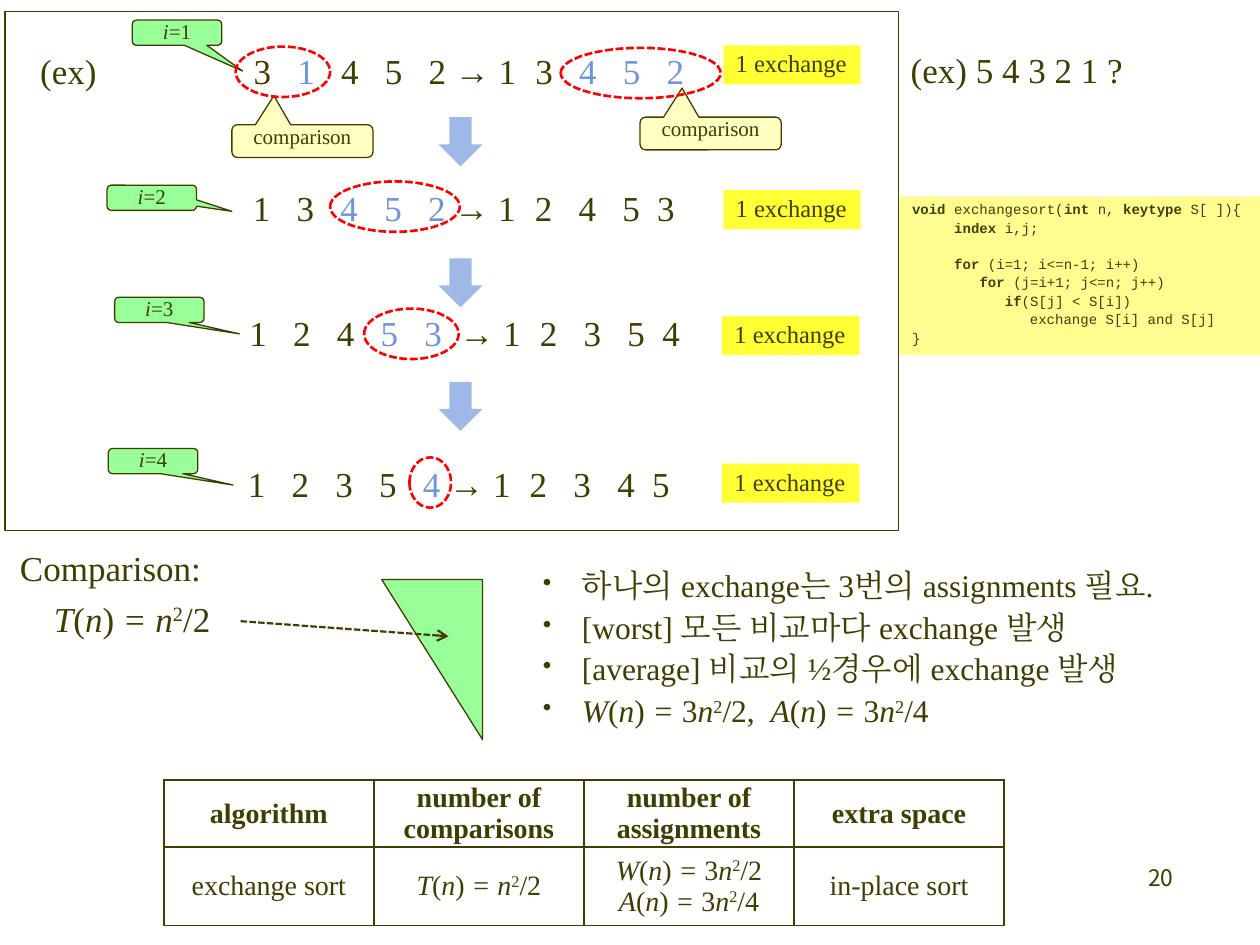
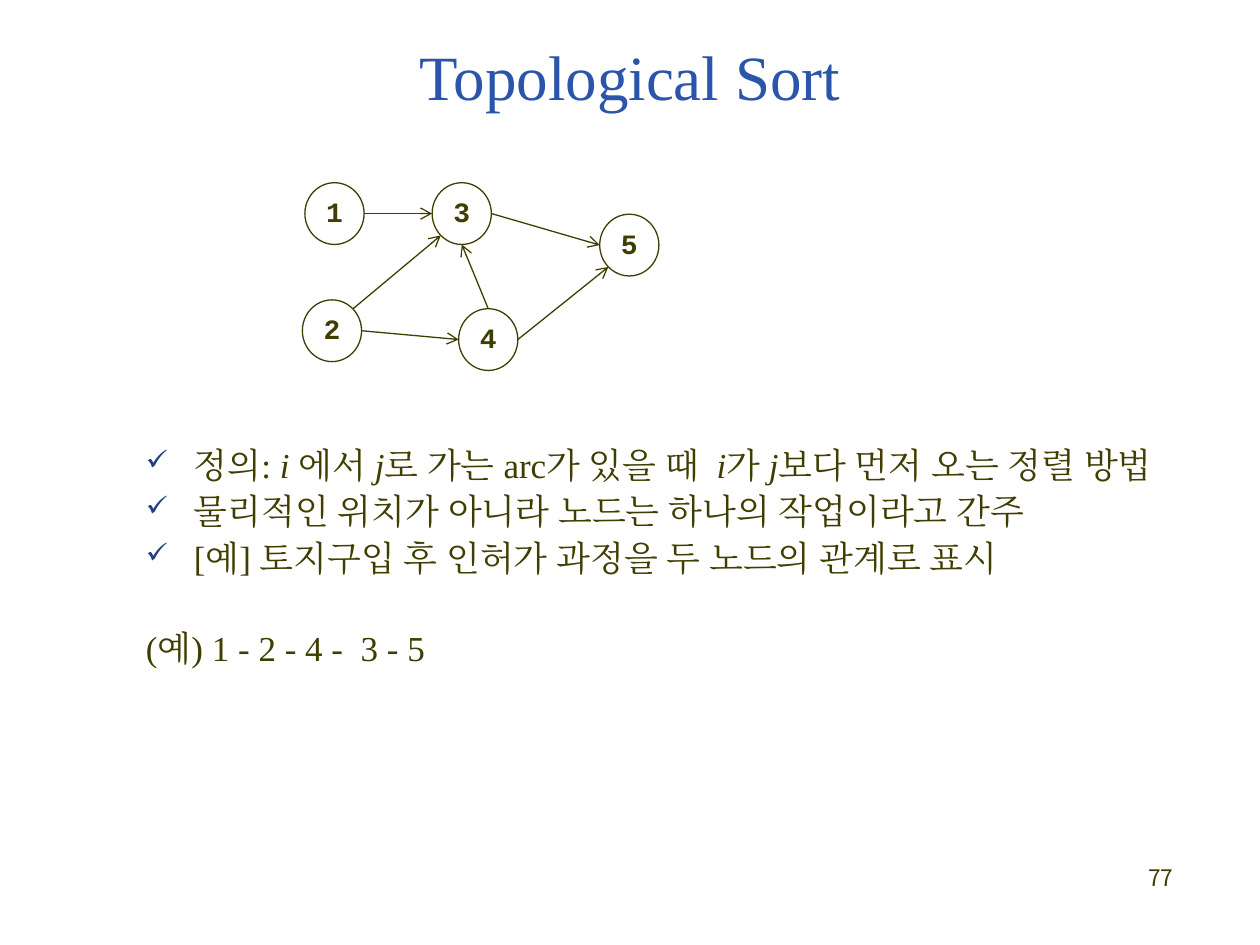
"""Builds two slides on sorting: exchange sort traced by hand, and topological sort."""
from lxml import etree
from pptx import Presentation, util as u
from pptx.dml.color import RGBColor
from pptx.enum import dml, shapes, text
from pptx.oxml import parse_xml
from pptx.oxml.ns import nsdecls, qn

INK = RGBColor(0x3F, 0x3E, 0x00)
BLUE = RGBColor(0x70, 0x94, 0xDC)
ROYAL = RGBColor(0x2A, 0x55, 0xAA)
NAVY = RGBColor(0x20, 0x40, 0x80)
SKY = RGBColor(0x9F, 0xB8, 0xE7)
GREEN = RGBColor(0x99, 0xFF, 0x99)
YELLOW = RGBColor(0xFF, 0xFF, 0x33)
CREAM = RGBColor(0xFF, 0xFF, 0xC2)
PAPER = RGBColor(0xFF, 0xFD, 0x8F)
RED = RGBColor(0xFF, 0x00, 0x00)
SERIF, MONO, SANS = "Times New Roman", "Courier New", "Noto Sans CJK KR"
KIND = shapes.MSO_SHAPE
CENTER, RIGHT = text.PP_ALIGN.CENTER, text.PP_ALIGN.RIGHT
TOP, MIDDLE = text.MSO_ANCHOR.TOP, text.MSO_ANCHOR.MIDDLE
DASH = dml.MSO_LINE.SQUARE_DOT
MARKS = set("_*^~")
BULLETS = {"•": (INK, 0.31), "✓": (NAVY, 0.38)}

deck = Presentation()
deck.slide_width, deck.slide_height = u.Inches(10), u.Inches(7.5)
COL, ROW = deck.slide_width / 10, deck.slide_height / 7.5


def add(page, kind, cells, fill=None, line=None, width=0.75, dash=None,
        inset=None, anchor=TOP, wrap=True):
    """Place a shape, or a text box when kind is None, on the grid."""
    x, y, w, h = cells
    place = int(x * COL), int(y * ROW), int(w * COL), int(h * ROW)
    if kind is None:
        item = page.shapes.add_textbox(*place)
    else:
        item = page.shapes.add_shape(kind, *place)
        item.shadow.inherit = False
        for part, color in ((item.fill, fill), (item.line.fill, line)):
            if color is None:
                part.background()
            else:
                part.solid()
                part.fore_color.rgb = color
        if line is not None:
            item.line.width, item.line.dash_style = u.Pt(width), dash
    frame = item.text_frame
    frame.word_wrap, frame.vertical_anchor = wrap, anchor
    if inset is not None:
        for side in ("left", "top", "right", "bottom"):
            setattr(frame, "margin_" + side, u.Inches(inset))
    return item


def write(frame, lines, size=20, font=SERIF, color=INK, align=text.PP_ALIGN.LEFT,
          bold=False, lead=0.9, stops=()):
    """Write lines where _ is italic, * bold, ^ raised, ~ blue and a newline a gap."""
    for k, line in enumerate(lines):
        para = frame.add_paragraph() if k else frame.paragraphs[0]
        props = para._p.get_or_add_pPr()
        gap = line.startswith("\n")
        line = line.lstrip("\n")
        if line[0] in BULLETS:
            tint, dent = BULLETS[line[0]]
            props.set("marL", str(u.Inches(dent)))
            props.set("indent", str(-u.Inches(dent)))
            shade = etree.SubElement(props, qn("a:buClr"))
            etree.SubElement(shade, qn("a:srgbClr"), val=str(tint))
            etree.SubElement(props, qn("a:buSzPct"), val="80000")
            etree.SubElement(props, qn("a:buChar"), char=line[0])
            line = line[1:]
        if stops:
            tabs = etree.SubElement(props, qn("a:tabLst"))
            for stop in stops:
                etree.SubElement(tabs, qn("a:tab"), pos=str(u.Pt(stop)), algn="l")
        para.alignment, para.line_spacing = align, lead
        if k and lead < 1:
            para.space_before = u.Pt(size * (1.5 if gap else 0.24))
        for mark in MARKS:
            line = line.replace(mark, f"|{mark}|")
        on = set()
        for part in line.split("|"):
            if part in MARKS:
                on ^= {part}
            elif part:
                run = para.add_run()
                run.text = part
                look = {"name": font, "size": u.Pt(size), "bold": bold or "*" in on,
                        "italic": "_" in on}
                for key, value in look.items():
                    setattr(run.font, key, value)
                run.font.color.rgb = BLUE if "~" in on else color
                kit = run._r.get_or_add_rPr()
                etree.SubElement(kit, qn("a:ea"), typeface=font)
                if "^" in on:
                    kit.set("baseline", "30000")


trace, topo = [deck.slides.add_slide(deck.slide_layouts[6]) for _ in range(2)]
for page, number in ((trace, "20"), (topo, "77")):
    write(add(page, None, (7.33, 6.83, 2.08, 0.5)).text_frame, [number],
          size=13, font=SANS, align=RIGHT)

# left, top, width, indent, arrow lag, last step, text
passes = [
    (0.22, 0.38, 5.42, 122, 0, 25, "(ex)\t3\t~1~\t4\t5\t2\t→ 1\t3\t~4\t5\t2~"),
    (1.91, 1.47, 3.64, 0, 0, 20, "1\t3\t~4\t5\t2~\t→ 1\t2\t4\t5\t3"),
    (1.88, 2.46, 3.71, 0, 5, 20, "1\t2\t4\t~5\t3~\t→ 1\t2\t3\t5\t4"),
    (1.87, 3.66, 3.64, 0, 0, 20, "1\t2\t3\t5\t~4~\t→ 1\t2\t3\t4\t5"),
]
for x, y, w, dent, lag, step, line in passes:
    stops = [dent + 25 * k for k in range(0 if dent else 1, 5)]
    stops += [dent + lag + s for s in (115, 161, 186, 211, 211 + step)]
    write(add(trace, None, (x, y, w, 0.4)).text_frame, [line], stops=stops)

calls = [(1.05, 0.16, 0.733, 1.522), (0.85, 1.47, 0.895, 0.538),
         (0.91, 2.36, 0.895, 0.952), (0.86, 3.56, 0.895, 0.952)]
tags = [((x, y, 0.71, 0.2), GREEN, f"_i_={k}", tip)
        for k, (x, y, *tip) in enumerate(calls, 1)]
tags += [((x, y, 1.12, 0.26), CREAM, "comparison", (-0.202, -1.387))
         for x, y in ((5.08, 0.93), (1.84, 0.99))]
for cells, fill, word, tip in tags:
    call = add(trace, KIND.ROUNDED_RECTANGULAR_CALLOUT, cells, fill, INK, inset=0)
    call.adjustments[0], call.adjustments[1] = tip
    write(call.text_frame, [word], size=12, align=CENTER)

for x, y in ((5.74, 0.36), (5.74, 1.51), (5.73, 2.51), (5.73, 3.68)):
    note = add(trace, KIND.RECTANGLE, (x, y, 1.09, 0.31), YELLOW, wrap=False)
    write(note.text_frame, ["1 exchange"], size=14)
for y in (0.93, 2.05, 3.03):
    add(trace, KIND.DOWN_ARROW, (3.48, y, 0.35, 0.39), SKY)
add(trace, KIND.RECTANGLE, (0.04, 0.09, 7.09, 4.12), line=INK)
for x, y, w in ((4.45, 0.38, 1.27), (1.87, 0.37, 0.75), (2.62, 1.44, 1.03),
                (2.89, 2.45, 0.75), (3.25, 3.63, 0.33)):
    add(trace, KIND.OVAL, (x, y, w, 0.4), line=RED, width=1.5, dash=DASH)

half = add(trace, KIND.RIGHT_TRIANGLE, (3.03, 4.6, 0.8, 1.27), GREEN, INK)
half.rotation = 180
COST = "_T_(_n_)_ = n_^2^/2"
for x, y, w, line in ((0.06, 4.33, 1.72, "Comparison:"), (0.33, 4.73, 1.46, COST),
                      (7.13, 0.37, 1.9, "(ex) 5 4 3 2 1 ?")):
    write(add(trace, None, (x, y, w, 0.4), wrap=False).text_frame, [line])

WORST, MEAN = "_W_(_n_)_ = _3_n_^2^/2", "_A_(_n_)_ = _3_n_^2^/4"
write(add(trace, None, (4.21, 4.48, 5.45, 1.37)).text_frame, [
    "•하나의 exchange는 3번의 assignments 필요.",
    "•[worst] 모든 비교마다 exchange 발생",
    "•[average] 비교의 ½경우에 exchange 발생",
    f"•{WORST},  {MEAN}"], size=18)

write(add(trace, KIND.RECTANGLE, (7.14, 1.56, 2.87, 1.26), PAPER).text_frame, [
    "*void *exchangesort(*int *n, *keytype* S[ ]){",
    "     *index* i,j;",
    "\n     *for* (i=1; i<=n-1; i++)",
    "       * for *(j=i+1; j<=n; j++)",
    "           *if*(S[j] < S[i])",
    "              exchange S[i] and S[j]",
    "}"], size=8, font=MONO)

facts = [[["algorithm"], ["number of comparisons"], ["number of assignments"],
          ["extra space"]],
         [["exchange sort"], [COST], [WORST, MEAN], ["in-place sort"]]]
grid = trace.shapes.add_table(2, 4, int(1.3 * COL), int(6.19 * ROW),
                              int(6.67 * COL), int(1.15 * ROW)).table
grid.first_row = grid.horz_banding = False
for r, high in enumerate((0.53, 0.62)):
    grid.rows[r].height = int(high * ROW)
    for c, lines in enumerate(facts[r]):
        cell = grid.cell(r, c)
        look = {"margin_left": u.Inches(0.07), "margin_right": u.Inches(0.07),
                "margin_top": 0, "margin_bottom": 0, "vertical_anchor": MIDDLE}
        for key, value in look.items():
            setattr(cell, key, value)
        cell.fill.background()
        for k, side in enumerate("LRTB"):
            edge = parse_xml(f'<a:ln{side} {nsdecls("a")} w="12700"><a:solidFill>'
                             f'<a:srgbClr val="{INK}"/></a:solidFill></a:ln{side}>')
            cell._tc.get_or_add_tcPr().insert(k, edge)
        write(cell.text_frame, lines, size=16, align=CENTER, bold=r == 0, lead=1.0)

write(add(topo, None, (0.75, 0.17, 8.5, 0.85), anchor=MIDDLE).text_frame,
      ["Topological Sort"], size=36, color=ROYAL, align=CENTER, lead=1.0)
WIDE, HIGH = 0.47, 0.49
nodes = {1: (2.42, 1.45), 2: (2.4, 2.38), 3: (3.43, 1.45), 4: (3.64, 2.45), 5: (4.76, 1.7)}
for name, (x, y) in nodes.items():
    node = add(topo, KIND.OVAL, (x, y, WIDE, HIGH), line=INK, inset=0, anchor=MIDDLE)
    write(node.text_frame, [str(name)], size=16, font=MONO, align=CENTER, bold=True)

sites = {"e": (1, 0), "w": (-1, 0), "n": (0, -1), "s": (0, 1),
         "ne": (0.71, -0.71), "sw": (-0.71, 0.71)}
arrows = [(trace, [(1.91, 4.93), (3.56, 5.05)], 1.25, DASH)]
for ends in (((1, "e"), (3, "w")), ((3, "e"), (5, "w")), ((2, "ne"), (3, "sw")),
             ((4, "e"), (5, "sw")), ((2, "e"), (4, "w")), ((4, "n"), (3, "s"))):
    points = [(nodes[n][0] + WIDE / 2 * (1 + sites[s][0]),
               nodes[n][1] + HIGH / 2 * (1 + sites[s][1])) for n, s in ends]
    arrows.append((topo, points, 0.75, None))
for page, points, width, dash in arrows:
    spots = [int(v) for x, y in points for v in (x * COL, y * ROW)]
    link = page.shapes.add_connector(shapes.MSO_CONNECTOR.STRAIGHT, *spots)
    link.line.color.rgb = INK
    link.line.width, link.line.dash_style = u.Pt(width), dash
    etree.SubElement(link.line._get_or_add_ln(), qn("a:tailEnd"), type="arrow")
    etree.SubElement(link._element.spPr, qn("a:effectLst"))

write(add(topo, None, (1.06, 3.51, 8.48, 1.88)).text_frame, [
    "✓정의: _i _에서 _j_로 가는 arc가 있을 때  _i_가 _j_보다 먼저 오는 정렬 방법",
    "✓물리적인 위치가 아니라 노드는 하나의 작업이라고 간주",
    "✓[예] 토지구입 후 인허가 과정을 두 노드의 관계로 표시",
    "\n(예) 1 - 2 - 4 -  3 - 5"])

deck.save("out.pptx")
